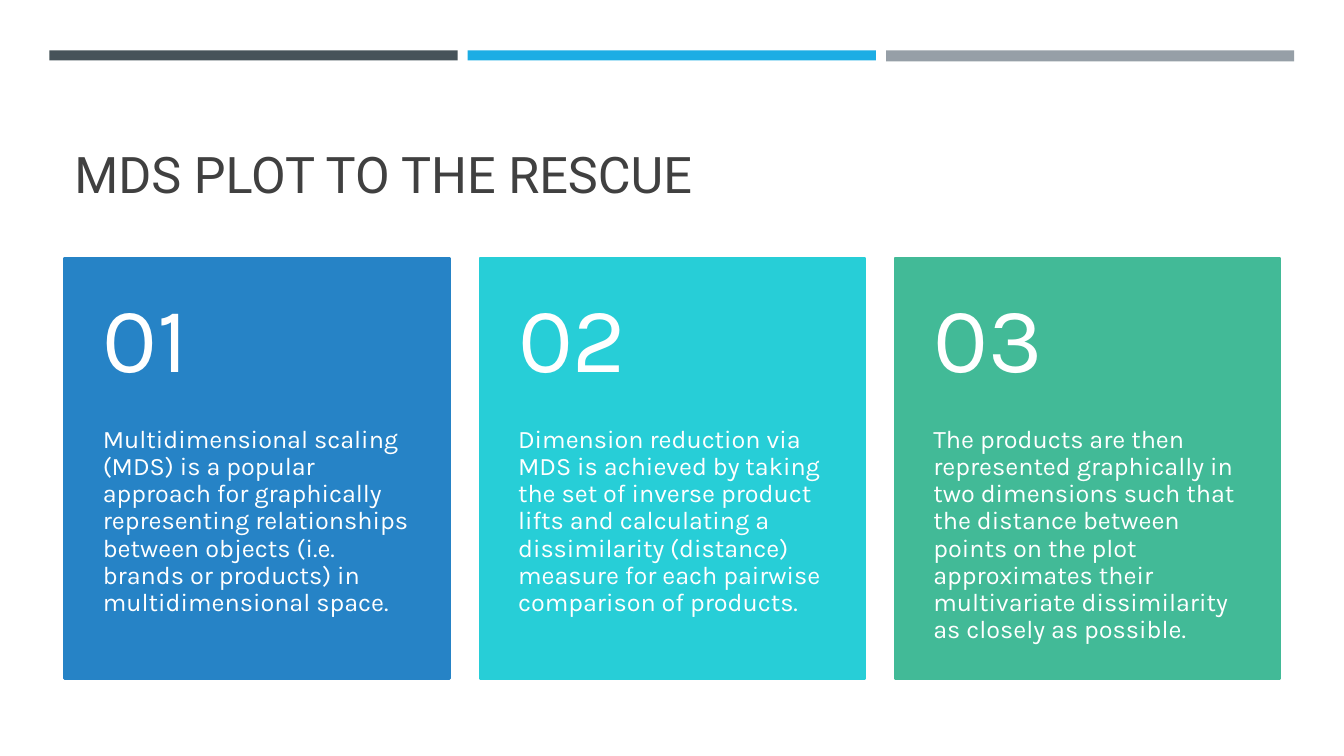
from pptx import Presentation
from pptx.dml.color import RGBColor
from pptx.enum.shapes import MSO_SHAPE
from pptx.enum.text import MSO_ANCHOR, PP_ALIGN
from pptx.util import Pt

RECTANGLE = MSO_SHAPE.RECTANGLE
TOP, MIDDLE, BOTTOM = MSO_ANCHOR.TOP, MSO_ANCHOR.MIDDLE, MSO_ANCHOR.BOTTOM
LEFT = PP_ALIGN.LEFT

SLATE = RGBColor(0x46, 0x53, 0x59)
SKY = RGBColor(0x1C, 0xAD, 0xE4)
GRAY = RGBColor(0x96, 0x9F, 0xA7)
CHARCOAL = RGBColor(0x40, 0x40, 0x40)
WHITE = RGBColor(0xFF, 0xFF, 0xFF)
BLUE = RGBColor(0x26, 0x83, 0xC6)
TURQUOISE = RGBColor(0x27, 0xCE, 0xD7)
GREEN = RGBColor(0x42, 0xBA, 0x97)

BARS = [(SLATE, 7.2), (SKY, 7.2), (GRAY, 7.92)]
BAR_LEFT, BAR_TOP, BAR_WIDTH, BAR_PITCH = 35.28, 36, 291.6, 298.8

CARDS = [
    (BLUE, "Multidimensional scaling (MDS) is a popular approach for graphically "
           "representing relationships between objects (i.e. brands or products) "
           "in multidimensional space."),
    (TURQUOISE, "Dimension reduction via MDS is achieved by taking the set of inverse "
                "product lifts and calculating a dissimilarity (distance) measure for "
                "each pairwise comparison of products."),
    (GREEN, "The products are then represented graphically in two dimensions such "
            "that the distance between points on the plot approximates their "
            "multivariate dissimilarity as closely as possible."),
]
CARD_LEFT, CARD_TOP, CARD_WIDTH, CARD_PITCH = 46.08, 184.32, 275.04, 296.64
NUMBER_HEIGHT, BODY_HEIGHT = 120.24, 180


class SlideBuilder:
    heading_font = "Roboto"
    card_font = "Karla"

    def __init__(self, slide):
        self.shapes = slide.shapes

    def block(self, left, top, width, height, color, outline=None):
        block = self.shapes.add_shape(RECTANGLE, Pt(left), Pt(top), Pt(width), Pt(height))
        block.shadow.inherit = False
        block.fill.solid()
        block.fill.fore_color.rgb = color
        if outline:
            block.line.color.rgb = color
            block.line.width = Pt(outline)
        else:
            block.line.fill.background()

    def text(self, words, left, top, width, height, size, font, color, anchor,
             insets=(7.2, 3.6, 7.2, 3.6), spacing=1.0):
        frame = self.shapes.add_textbox(Pt(left), Pt(top), Pt(width), Pt(height)).text_frame
        frame.word_wrap = True
        frame.vertical_anchor = anchor
        (frame.margin_left, frame.margin_top,
         frame.margin_right, frame.margin_bottom) = map(Pt, insets)
        paragraph = frame.paragraphs[0]
        paragraph.text = words
        paragraph.alignment = LEFT
        paragraph.line_spacing = spacing
        paragraph.font.size = Pt(size)
        paragraph.font.name = font
        paragraph.font.color.rgb = color

    def title(self, words):
        self.text(words, CARD_LEFT, 55.44, 868.32, 93.6, 36,
                  self.heading_font, CHARCOAL, BOTTOM)

    def card(self, number, body, left, color):
        self.block(left, CARD_TOP, CARD_WIDTH, NUMBER_HEIGHT + BODY_HEIGHT, color, 1.75)
        self.text(body, left, CARD_TOP + NUMBER_HEIGHT, CARD_WIDTH, BODY_HEIGHT, 18,
                  self.card_font, WHITE, TOP, (27.36, 0, 27.36, 25.92), 0.9)
        self.text(f"{number:02}", left, CARD_TOP, CARD_WIDTH, NUMBER_HEIGHT, 66,
                  self.card_font, WHITE, MIDDLE, (27.36, 12.96, 27.36, 12.96), 0.9)


def main():
    presentation = Presentation()
    presentation.slide_width, presentation.slide_height = Pt(960), Pt(540)
    builder = SlideBuilder(presentation.slides.add_slide(presentation.slide_layouts[6]))
    for column, (color, height) in enumerate(BARS):
        builder.block(BAR_LEFT + column * BAR_PITCH, BAR_TOP, BAR_WIDTH, height, color)
    builder.title("MDS PLOT TO THE RESCUE")
    for column, (color, body) in enumerate(CARDS):
        builder.card(column + 1, body, CARD_LEFT + column * CARD_PITCH, color)
    presentation.save("out.pptx")


if __name__ == "__main__":
    main()
